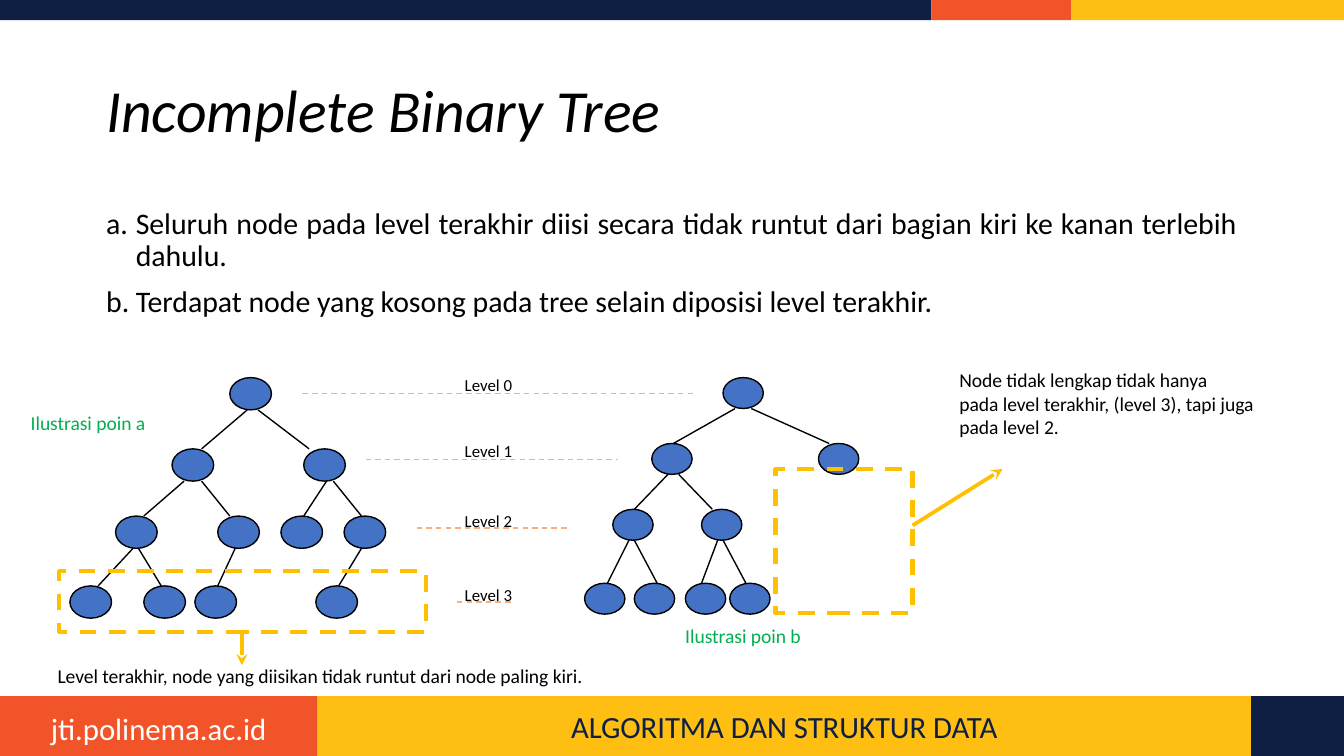
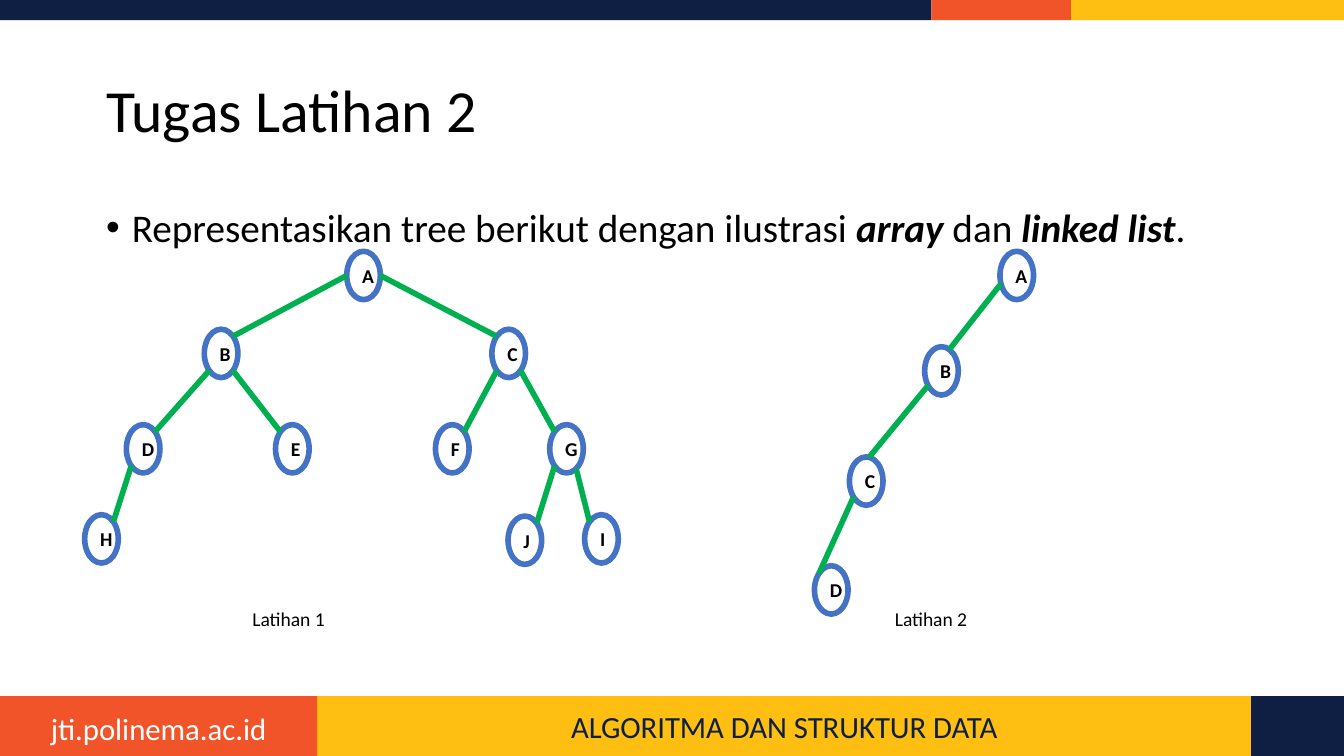
from math import cos, radians, sin

from lxml import etree
from pptx import Presentation
from pptx.dml.color import RGBColor
from pptx.enum.dml import MSO_LINE
from pptx.enum.shapes import MSO_CONNECTOR, MSO_SHAPE
from pptx.enum.text import MSO_ANCHOR, MSO_AUTO_SIZE, PP_ALIGN
from pptx.oxml.ns import qn
from pptx.util import Inches, Pt

RECT, OVAL = MSO_SHAPE.RECTANGLE, MSO_SHAPE.OVAL
STRAIGHT, DASH = MSO_CONNECTOR.STRAIGHT, MSO_LINE.DASH
LEFT, CENTER, JUSTIFY = PP_ALIGN.LEFT, PP_ALIGN.CENTER, PP_ALIGN.JUSTIFY
TOP, MIDDLE, FIXED = MSO_ANCHOR.TOP, MSO_ANCHOR.MIDDLE, MSO_AUTO_SIZE.NONE


class Theme:
    font = "Calibri"
    navy, orange, yellow = "0E1F43", "F15429", "FEBF12"
    black, white, blue, green = "000000", "FFFFFF", "4472C4", "00B050"
    amber, peach = "FFC000", "F4B081"
    title, footer, points, task, note, level = 32, 16.5, 16, 21, 10.5, 9


# Shared frame, 16:9
WIDTH = 10
HEIGHT = WIDTH * 9 / 16
FOOT_TOP = 5.18
FOOT_HEIGHT = HEIGHT - FOOT_TOP
# Box, colour, words inside
BANDS = [
    ((0, 0, 6.93, 0.15), Theme.navy, ""),
    ((6.93, 0, 1.04, 0.15), Theme.orange, ""),
    ((7.97, 0, 2.03, 0.15), Theme.yellow, ""),
    ((2.36, FOOT_TOP, 6.95, FOOT_HEIGHT), Theme.yellow, "ALGORITMA DAN STRUKTUR DATA"),
    ((0, FOOT_TOP, 2.36, FOOT_HEIGHT), Theme.orange, ""),
    ((9.31, FOOT_TOP, 0.69, FOOT_HEIGHT), Theme.navy, ""),
]
SITE = ((0, 5.23, 2.36, 0.38), "jti.polinema.ac.id")
TITLE_BOX = (0.69, 0.3, 8.62, 1.09)
BODY_BOX = (0.69, 1.5, 8.62, 3.57)

# Slide 1
INCOMPLETE_POINTS = [
    "Seluruh node pada level terakhir diisi secara tidak runtut "
    "dari bagian kiri ke kanan terlebih dahulu.",
    "Terdapat node yang kosong pada tree selain diposisi level terakhir.",
]
# One row per level: top, lefts of the nodes, (from x, to x) of edges going down
TREE_A = {
    "node": (0.31, 0.24),
    "levels": [
        (2.81, [1.71], [(1.84, 1.5), (1.92, 2.3)]),
        (3.34, [1.28, 2.26],
         [(1.37, 1.07), (1.5, 1.71), (2.43, 2.26), (2.48, 2.69)]),
        (3.84, [0.86, 1.62, 2.09, 2.56],
         [(0.99, 0.73), (1.03, 1.2), (1.75, 1.62), (2.69, 2.52)]),
        (4.36, [0.52, 1.07, 1.45, 2.35], []),
    ],
}
TREE_B = {
    "node": (0.3, 0.23),
    "levels": [
        (2.81, [5.38], [(5.47, 5.01), (5.59, 6.17)]),
        (3.3, [4.85, 6.09], [(4.97, 4.72), (5.05, 5.3)]),
        (3.79, [4.56, 5.22],
         [(4.68, 4.52), (4.72, 4.89), (5.34, 5.22), (5.38, 5.55)]),
        (4.34, [4.35, 4.72, 5.1, 5.43], []),
    ],
}
TREE_NOTES = [
    ((7.04, 2.69, 2.7, 0.63),
     ["Node tidak lengkap tidak hanya",
      "pada level terakhir, (level 3), tapi juga", "pada level 2."],
     Theme.black, JUSTIFY),
    ((5, 4.59, 1.15, 0.28), ["Ilustrasi poin b"], Theme.green, LEFT),
    ((0.13, 3.01, 1.15, 0.28), ["Ilustrasi poin a"], Theme.green, LEFT),
    ((0.33, 4.89, 4.53, 0.28),
     ["Level terakhir, node yang diisikan tidak runtut dari node paling kiri."],
     Theme.black, LEFT),
]
# Dashed frame and the arrow that leaves it
GAPS = [
    ((0.44, 4.25, 2.73, 0.45), (1.8, 4.71), (1.8, 4.95)),
    ((5.77, 3.49, 1.02, 1.07), (6.79, 3.91), (7.46, 3.49)),
]
# Label top, guide line height, guide line from x, to x
LEVELS = [
    (2.74, 2.93, 2.25, 5.18),
    (3.23, 3.42, 2.72, 4.6),
    (3.75, 3.93, 3.1, 4.23),
    (4.3, 4.48, 3.4, 3.81),
]

# Slide 2
TASK = [("Representasikan tree berikut dengan ilustrasi ", False),
        ("array", True), (" dan ", False), ("linked list", True), (".", False)]
LETTER_NODE = (0.25, 0.36)
# Edges: parent, angle on its rim, child, angle on its rim (clockwise from right)
EXERCISES = [
    {
        "caption": ("Latihan 1", 1.78),
        "nodes": {"A": (2.58, 1.87), "B": (1.52, 2.45), "C": (3.66, 2.45),
                  "D": (0.94, 3.16), "E": (2.05, 3.16), "F": (3.24, 3.16),
                  "G": (4.09, 3.16), "H": (0.63, 3.83), "I": (4.35, 3.83),
                  "J": (3.78, 3.84)},
        "edges": [("A", 180, "B", -45), ("A", 0, "C", -135),
                  ("B", 135, "D", -45), ("B", 45, "E", -135),
                  ("C", 135, "F", -45), ("C", 45, "G", -135),
                  ("D", 135, "H", -45), ("G", 135, "J", -45),
                  ("G", 55, "I", -135)],
    },
    {
        "caption": ("Latihan 2", 6.56),
        "nodes": {"A": (7.44, 1.87), "B": (6.88, 2.58),
                  "C": (6.32, 3.4), "D": (6.06, 4.21)},
        "edges": [("A", 160, "B", -62), ("B", 143, "C", -80),
                  ("C", 139, "D", -137)],
    },
]


def rgb(colour):
    return RGBColor.from_string(colour)


def inches(box):
    return [Inches(length) for length in box]


def set_font(font, size, colour=Theme.black, bold=None, italic=None):
    font.name, font.size = Theme.font, Pt(size)
    font.color.rgb = rgb(colour)
    font.bold, font.italic = bold, italic


def write(shape, lines, size, colour=Theme.black, align=LEFT, bold=None):
    shape.text_frame.text = "\n".join(lines)
    for paragraph in shape.text_frame.paragraphs:
        paragraph.alignment = align
        set_font(paragraph.font, size, colour, bold)


def add_figure(slide, kind, box, fill=None, line=None, weight=0.75):
    figure = slide.shapes.add_shape(kind, *inches(box))
    figure.shadow.inherit = False
    if fill:
        figure.fill.solid()
        figure.fill.fore_color.rgb = rgb(fill)
    else:
        figure.fill.background()
    if line:
        figure.line.color.rgb = rgb(line)
        figure.line.width = Pt(weight)
    else:
        figure.line.fill.background()
    return figure


def add_line(slide, start, end, colour, weight=0.75, dash=None, arrow=False):
    line = slide.shapes.add_connector(STRAIGHT, *inches(start + end))
    line.line.color.rgb = rgb(colour)
    line.line.width = Pt(weight)
    if dash:
        line.line.dash_style = dash
    properties = line._element.spPr
    if arrow:
        etree.SubElement(properties.find(qn("a:ln")), qn("a:tailEnd"), type="stealth")
    etree.SubElement(properties, qn("a:effectLst"))


def add_text(slide, box, lines, size, colour=Theme.black, align=LEFT):
    text = slide.shapes.add_textbox(*inches(box))
    text.text_frame.word_wrap = True
    write(text, lines, size, colour, align)
    return text


def add_bullet(paragraph, indent, tag, **settings):
    properties = paragraph._p.get_or_add_pPr()
    properties.set("marL", str(Inches(indent)))
    properties.set("indent", str(-Inches(indent)))
    colour = etree.SubElement(properties, qn("a:buClr"))
    etree.SubElement(colour, qn("a:srgbClr"), val=Theme.black)
    if tag == "a:buChar":
        etree.SubElement(properties, qn("a:buFont"), typeface="Arial")
    etree.SubElement(properties, qn(tag), **settings)


def place(holder, box, anchor):
    holder.left, holder.top, holder.width, holder.height = inches(box)
    holder.text_frame.vertical_anchor = anchor
    holder.text_frame.auto_size = FIXED


def move_frame_to_layout(slide, layout):
    """Draw bands and footers once, then hand them to the layout."""
    for holder in list(layout.placeholders)[2:]:
        holder._element.getparent().remove(holder._element)
    parts = []
    for box, colour, words in BANDS:
        band = add_figure(slide, RECT, box, colour)
        if words:
            write(band, [words], Theme.footer, Theme.navy, CENTER)
        parts.append(band)
    box, words = SITE
    parts.append(add_text(slide, box, [words], Theme.footer, Theme.white, CENTER))
    for part in parts:
        layout.shapes._spTree.append(part._element)


def add_slide(deck, layout, title, italic=None):
    slide = deck.slides.add_slide(layout)
    heading, body = slide.placeholders
    place(heading, TITLE_BOX, MIDDLE)
    place(body, BODY_BOX, TOP)
    heading.text_frame.text = title
    paragraph = heading.text_frame.paragraphs[0]
    paragraph.alignment, paragraph.line_spacing = LEFT, 0.9
    set_font(paragraph.font, Theme.title, italic=italic)
    return slide, body.text_frame


def draw_level_tree(slide, tree):
    width, height = tree["node"]
    levels = tree["levels"]
    for top, lefts, _ in levels:
        for left in lefts:
            add_figure(slide, OVAL, (left, top, width, height), Theme.blue, Theme.black)
    for (top, _, edges), (next_top, _, _) in zip(levels, levels[1:]):
        for start, end in edges:
            add_line(slide, (start, top + height), (end, next_top), Theme.black)


def rim_point(corner, angle):
    return tuple(start + size / 2 * (1 + turn(radians(angle)))
                 for start, size, turn in zip(corner, LETTER_NODE, (cos, sin)))


def draw_letter_tree(slide, exercise):
    nodes = exercise["nodes"]
    for letter, corner in nodes.items():
        node = add_figure(slide, OVAL, corner + LETTER_NODE, Theme.white, Theme.blue, 3)
        write(node, [letter], Theme.note, align=CENTER, bold=True)
    for parent, leave, child, arrive in exercise["edges"]:
        add_line(slide, rim_point(nodes[parent], leave),
                 rim_point(nodes[child], arrive), Theme.green, 3)
    words, left = exercise["caption"]
    add_text(slide, (left, 4.47, 0.81, 0.28), [words], Theme.note)


def fill_incomplete(slide, body):
    body.text = "\n".join(INCOMPLETE_POINTS)
    for number, paragraph in enumerate(body.paragraphs):
        paragraph.alignment, paragraph.line_spacing = JUSTIFY, 0.9
        paragraph.space_before = Pt(7.5 if number else 0)
        add_bullet(paragraph, 0.22, "a:buAutoNum", type="alphaLcPeriod")
        set_font(paragraph.font, Theme.points)
    for tree in (TREE_B, TREE_A):
        draw_level_tree(slide, tree)
    for box, lines, colour, align in TREE_NOTES:
        add_text(slide, box, lines, Theme.note, colour, align)
    for box, start, end in GAPS:
        gap = add_figure(slide, RECT, box, line=Theme.amber, weight=2.25)
        gap.line.dash_style = DASH
        add_line(slide, start, end, Theme.amber, 2, arrow=True)
    for number, (top, height, start, end) in enumerate(LEVELS):
        add_line(slide, (start, height), (end, height), Theme.peach, dash=DASH)
        add_text(slide, (3.36, top, 0.6, 0.25), [f"Level {number}"], Theme.level)


def fill_exercises(slide, body):
    paragraph = body.paragraphs[0]
    paragraph.line_spacing, paragraph.space_before = 0.9, Pt(0)
    add_bullet(paragraph, 0.19, "a:buChar", char="•")
    set_font(paragraph.font, Theme.task)
    for words, strong in TASK:
        run = paragraph.add_run()
        run.text = words
        run.font.bold = run.font.italic = strong
    for exercise in EXERCISES:
        draw_letter_tree(slide, exercise)


def main():
    deck = Presentation()
    deck.slide_width, deck.slide_height = Inches(WIDTH), Inches(HEIGHT)
    layout = deck.slide_layouts[1]
    slide, body = add_slide(deck, layout, "Incomplete Binary Tree", italic=True)
    move_frame_to_layout(slide, layout)
    fill_incomplete(slide, body)
    fill_exercises(*add_slide(deck, layout, "Tugas Latihan 2"))
    deck.save("out.pptx")


if __name__ == "__main__":
    main()
